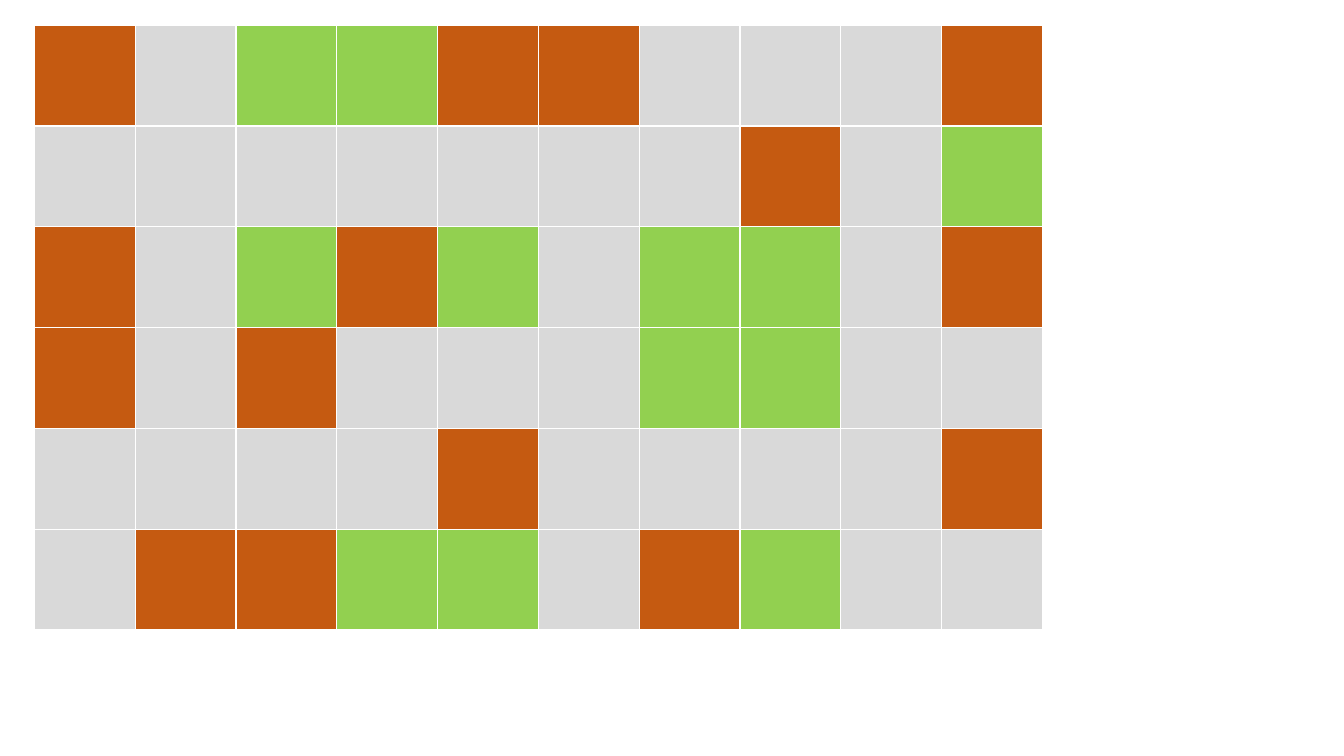
import lxml.etree
import pptx
import pptx.dml.color
import pptx.oxml.ns
import pptx.util

Inches = pptx.util.Inches
COLORS = {"R": "C55A11", "G": "92D050", ".": "D9D9D9", "edge": "FFFFFF"}
MOSAIC = [
    "R.GGRR...R",
    ".......R.G",
    "R.GRG.GG.R",
    "R.R...GG..",
    "....R....R",
    ".RRGG.RG..",
]


class Board:
    """Holds the table style and the current slide."""

    flags = {"first_row": False, "horz_banding": False}
    edge = 1  # points

    def __init__(self, slide):
        self.slide = slide

    def border(self, cell):
        props = cell._tc.get_or_add_tcPr()
        qn = pptx.oxml.ns.qn
        for spot, side in enumerate(("lnL", "lnR", "lnT", "lnB")):
            line = lxml.etree.Element(
                qn(f"a:{side}"), w=str(pptx.util.Pt(self.edge)))
            fill = lxml.etree.SubElement(line, qn("a:solidFill"))
            lxml.etree.SubElement(fill, qn("a:srgbClr"), val=COLORS["edge"])
            props.insert(spot, line)

    def grid(self, rows, left, top, size):
        """Draw a table of square cells, one colour key per cell."""
        wide, high = len(rows[0]), len(rows)
        table = self.slide.shapes.add_table(
            high, wide, Inches(left), Inches(top),
            Inches(wide * size), Inches(high * size)).table
        for name, value in self.flags.items():
            setattr(table, name, value)
        for r, keys in enumerate(rows):
            for c, key in enumerate(keys):
                cell = table.cell(r, c)
                cell.fill.solid()
                cell.fill.fore_color.rgb = pptx.dml.color.RGBColor.from_string(
                    COLORS[key])
                self.border(cell)


def main():
    deck = pptx.Presentation()
    deck.slide_width, deck.slide_height = Inches(13.33), Inches(7.5)
    board = Board(deck.slides.add_slide(deck.slide_layouts[6]))
    board.grid(MOSAIC, left=0.34, top=0.25, size=1)
    deck.save("out.pptx")


if __name__ == "__main__":
    main()
